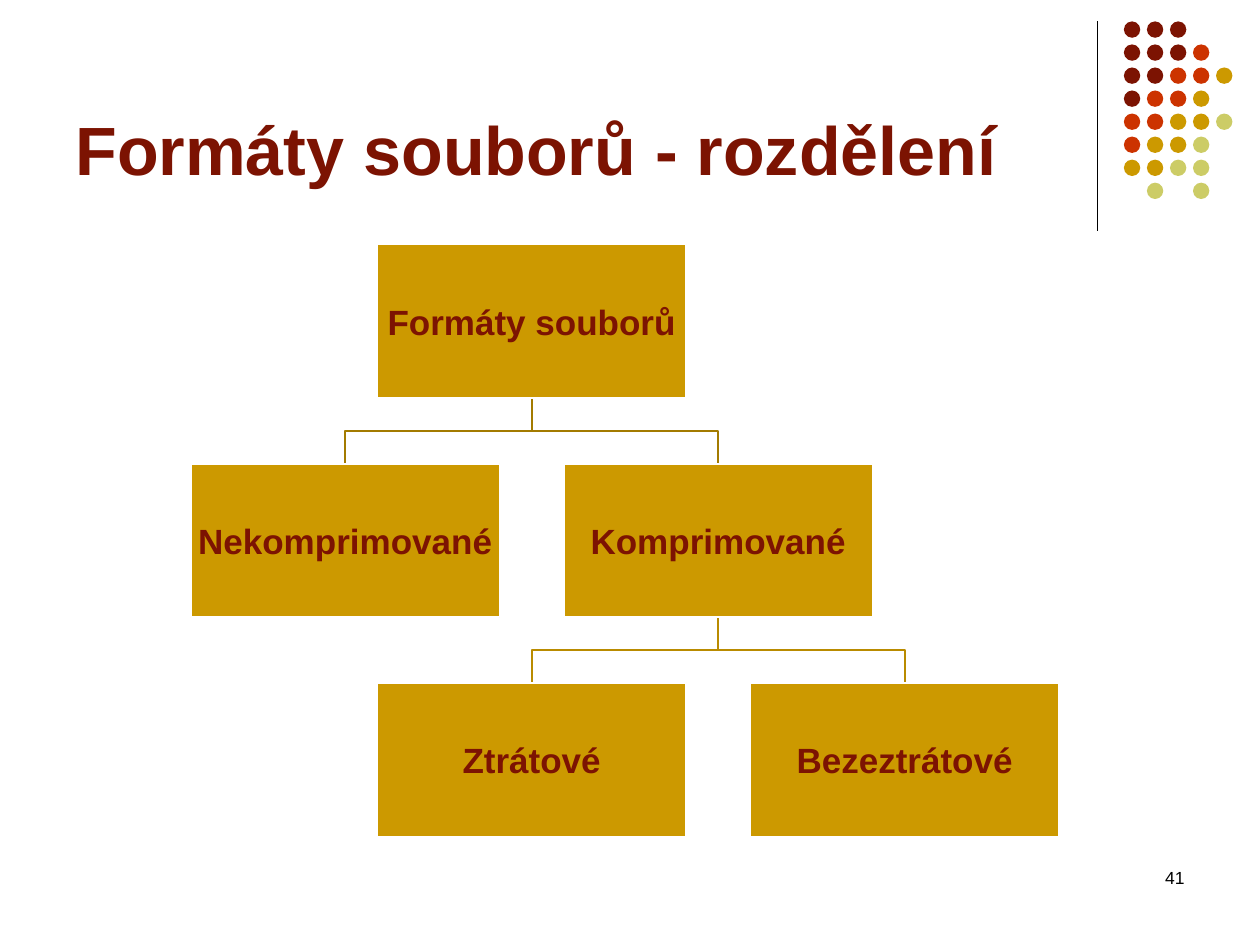
from lxml import etree
from pptx import Presentation
from pptx.dml.color import RGBColor
from pptx.enum.shapes import MSO_CONNECTOR, MSO_SHAPE
from pptx.enum.text import MSO_ANCHOR, PP_ALIGN
from pptx.oxml.ns import qn
from pptx.util import Inches, Pt

RECT, OVAL = MSO_SHAPE.RECTANGLE, MSO_SHAPE.OVAL
STRAIGHT = MSO_CONNECTOR.STRAIGHT
LEFT, MID, RIGHT = PP_ALIGN.LEFT, PP_ALIGN.CENTER, PP_ALIGN.RIGHT
TOP, CENTER, BASE = MSO_ANCHOR.TOP, MSO_ANCHOR.MIDDLE, MSO_ANCHOR.BOTTOM

FONT = "Arial"
WINE, GOLD, WHITE, BLACK = "7C1302", "CC9900", "FFFFFF", "000000"
TONES = {"w": WINE, "r": "CC3300", "g": GOLD, "l": "CCCC66"}
DOTS = ["www", "wwwr", "wwrrg", "wrrg", "rrggl", "rggl", "ggll", " l l"]
DOT, PITCH = 0.13, 1.28 / 7

BOX_W, BOX_H = 2.45, 1.22
COL_X, COL_STEP = 2.74, 1.48
ROW_Y, ROW_STEP = 1.94, 1.74
NODES = [
    ("Formáty souborů", 1, 0),
    ("Nekomprimované", 0, 1),
    ("Komprimované", 2, 1),
    ("Ztrátové", 1, 2),
    ("Bezeztrátové", 3, 2),
]
LINKS = [(2, 3, 1, "B98B00"), (2, 1, 1, "B98B00"),
         (1, 2, 0, "A37B00"), (1, 0, 0, "A37B00")]


def color(code):
    """Turn a hex string into a colour."""
    return RGBColor.from_string(code)


def spot(col, row):
    """Give the top centre of a grid cell in inches."""
    return COL_X + col * COL_STEP, ROW_Y + row * ROW_STEP


def write(frame, text, size, tone, bold, align, anchor):
    """Fill a text frame with one styled run."""
    frame.word_wrap = True
    frame.vertical_anchor = anchor
    para = frame.paragraphs[0]
    para.alignment = align
    run = para.add_run()
    run.text = text
    font = run.font
    font.name, font.size, font.bold = FONT, Pt(size), bold
    font.color.rgb = color(tone)


def label(slide, area, *style):
    """Add a text box over an area given in inches."""
    box = slide.shapes.add_textbox(*map(Inches, area))
    write(box.text_frame, *style)


def solid(slide, kind, area, tone):
    """Add a filled preset shape without an outline."""
    shape = slide.shapes.add_shape(kind, *map(Inches, area))
    shape.shadow.inherit = False
    shape.fill.solid()
    shape.fill.fore_color.rgb = color(tone)
    shape.line.fill.background()
    return shape


def node(slide, text, col, row):
    """Add one box of the tree with its caption."""
    x, y = spot(col, row)
    shape = solid(slide, RECT, (x - BOX_W / 2, y, BOX_W, BOX_H), GOLD)
    shape.line.color.rgb = color(WHITE)
    shape.line.width = Pt(1)
    frame = shape.text_frame
    frame.margin_left = frame.margin_right = Inches(0.01)
    frame.margin_top = frame.margin_bottom = Inches(0.01)
    write(frame, text, 20, WINE, True, MID, CENTER)


def link(slide, start, end, row, tone):
    """Add an elbow line from a box to one in the row below."""
    x, y = spot(start, row)
    x2, y2 = spot(end, row + 1)
    y += BOX_H
    half = (y + y2) / 2
    points = [(Inches(a), Inches(b))
              for a, b in [(x, y), (x, half), (x2, half), (x2, y2)]]
    path = slide.shapes.build_freeform(*points[0])
    path.add_line_segments(points[1:], close=False)
    shape = path.convert_to_shape()
    shape.shadow.inherit = False
    shape.fill.background()
    shape.line.color.rgb = color(tone)
    shape.line.width = Pt(1)


def rule(slide, x, top, end):
    """Add the thin upright line beside the dots."""
    line = slide.shapes.add_connector(
        STRAIGHT, Inches(x), Inches(top), Inches(x), Inches(end))
    line.line.color.rgb = color(BLACK)
    line.line.width = Pt(0.75)
    etree.SubElement(line._element.spPr, qn("a:effectLst"))


def dots(slide, left, top):
    """Add the corner pattern of dots, one letter for each tone."""
    for row, marks in enumerate(DOTS):
        for col, mark in enumerate(marks):
            if mark in TONES:
                area = left + col * PITCH, top + row * PITCH, DOT, DOT
                solid(slide, OVAL, area, TONES[mark])


def main():
    """Build and save the slide."""
    deck = Presentation()
    deck.slide_width, deck.slide_height = Inches(10), Inches(7.5)
    slide = deck.slides.add_slide(deck.slide_layouts[6])
    rule(slide, 8.71, 0.17, 1.83)
    dots(slide, 8.92, 0.17)
    label(slide, (7.17, 6.83, 2.33, 0.5), "41", 10, BLACK, False, RIGHT, TOP)
    label(slide, (0.5, 0.13, 8.25, 1.42), "Formáty souborů - rozdělení",
          39, WINE, True, LEFT, BASE)
    for item in LINKS:
        link(slide, *item)
    for item in NODES:
        node(slide, *item)
    deck.save("out.pptx")


if __name__ == "__main__":
    main()
